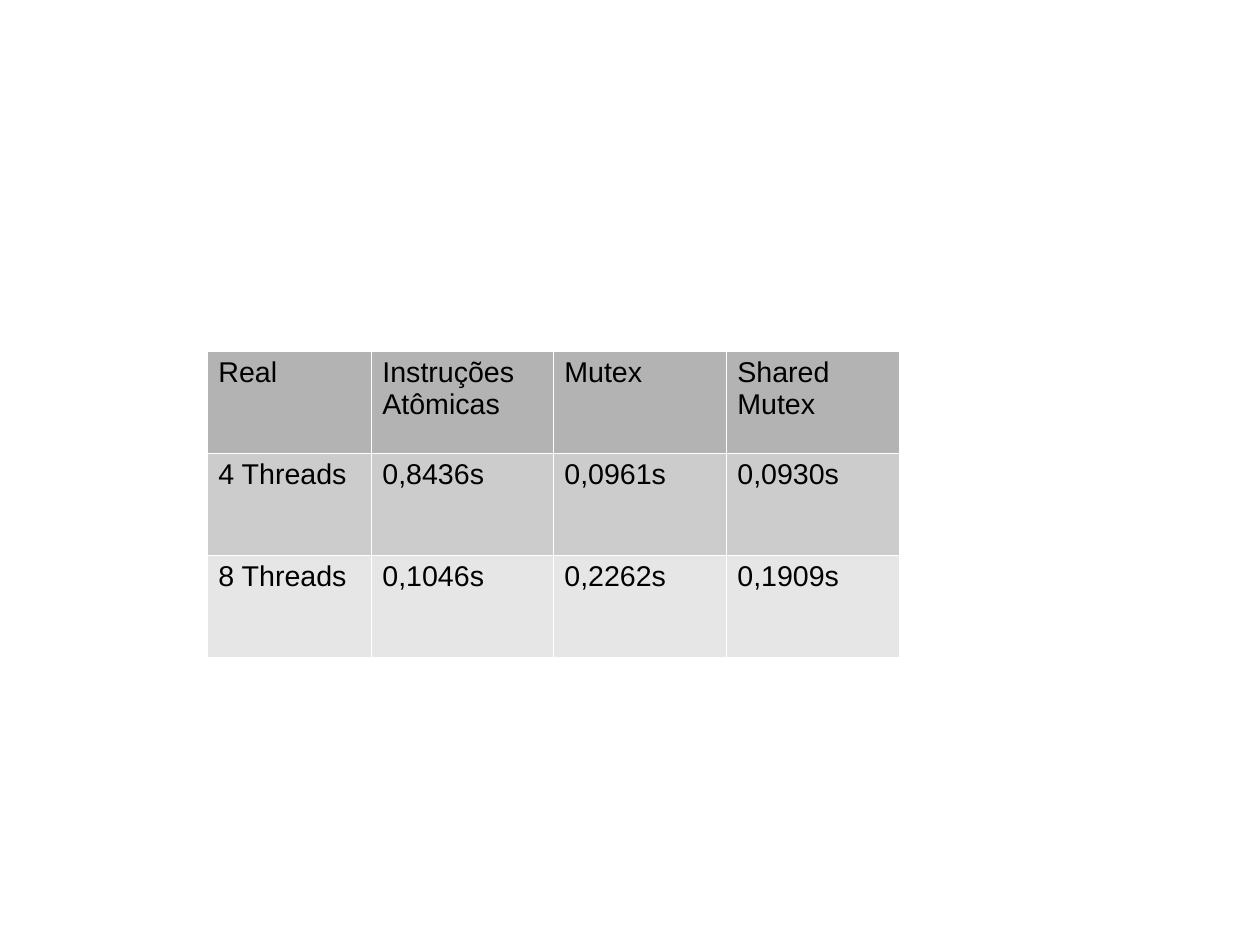
"""Build a slide with a table of real run times by thread count and locking method."""
from lxml import etree
from pptx import Presentation, util as u
from pptx.dml.color import RGBColor
from pptx.oxml import ns

ROWS = [
    ("B3B3B3", [["Real"], ["Instruções Atômicas"], ["Mutex"], ["Shared ", "Mutex"]]),
    ("CCCCCC", [["4 Threads"], ["0,8436s"], ["0,0961s"], ["0,0930s"]]),
    ("E6E6E6", [["8 Threads"], ["0,1046s"], ["0,2262s"], ["0,1909s"]]),
]
COLUMN_WIDTHS = [164, 182, 173, 173]
ROW_HEIGHT = 102
TABLE_LEFT, TABLE_TOP = 207, 351
SLIDE_SIZE = 1260, 945
BORDER_COLOR, TEXT_COLOR = "FFFFFF", "000000"
BORDER_WIDTH = u.Pt(0.06)


def px(length):
    return u.Emu(round(length * 914400 / 114.3))


def color(value):
    return RGBColor.from_string(value)


def add_borders(cell):
    properties = cell._tc.get_or_add_tcPr()
    for position, side in enumerate(("lnL", "lnR", "lnT", "lnB")):
        line = etree.Element(ns.qn(f"a:{side}"), w=str(int(BORDER_WIDTH)))
        fill = etree.SubElement(line, ns.qn("a:solidFill"))
        etree.SubElement(fill, ns.qn("a:srgbClr"), val=BORDER_COLOR)
        properties.insert(position, line)


def fill_cell(cell, paragraphs, background):
    cell.fill.solid()
    cell.fill.fore_color.rgb = color(background)
    cell.margin_left = cell.margin_right = u.Inches(0.1)
    cell.margin_top = cell.margin_bottom = u.Inches(0.05)
    frame = cell.text_frame
    for index, content in enumerate(paragraphs):
        paragraph = frame.add_paragraph() if index else frame.paragraphs[0]
        run = paragraph.add_run()
        run.text = content
        run.font.name, run.font.size, run.font.bold = "Arial", u.Pt(18), False
        run.font.color.rgb = color(TEXT_COLOR)
    add_borders(cell)


presentation = Presentation()
presentation.slide_width, presentation.slide_height = map(px, SLIDE_SIZE)
slide = presentation.slides.add_slide(presentation.slide_layouts[6])
table = slide.shapes.add_table(
    len(ROWS), len(COLUMN_WIDTHS), px(TABLE_LEFT), px(TABLE_TOP),
    px(sum(COLUMN_WIDTHS)), px(ROW_HEIGHT * len(ROWS))).table
for column, width in zip(table.columns, COLUMN_WIDTHS):
    column.width = px(width)
for row, (background, cells) in zip(table.rows, ROWS):
    row.height = px(ROW_HEIGHT)
    for cell, paragraphs in zip(row.cells, cells):
        fill_cell(cell, paragraphs, background)

presentation.save("out.pptx")
